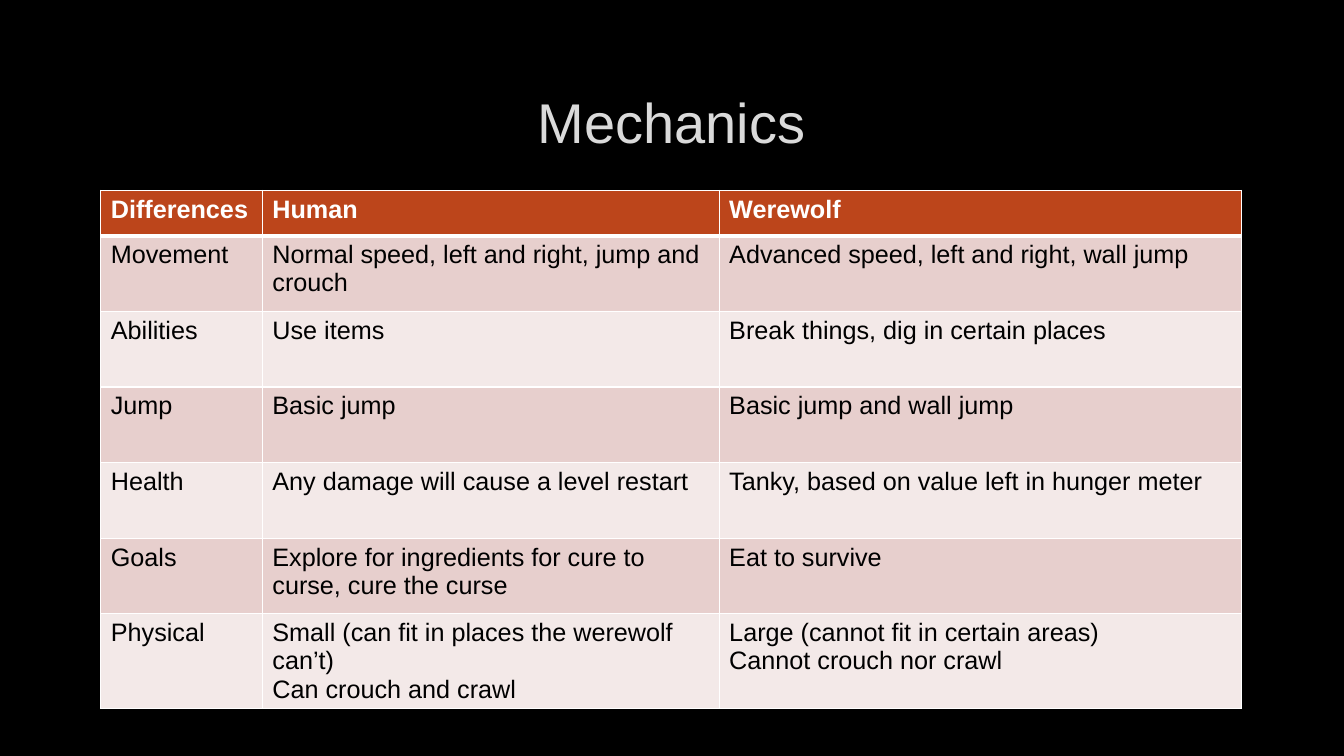
from lxml import etree
from pptx import Presentation
from pptx import util as u
from pptx.dml.color import RGBColor
from pptx.enum import text
from pptx.oxml import ns

# Content
TITLE = "Mechanics"
ROWS = [
    ("Differences", "Human", "Werewolf"),
    ("Movement", "Normal speed, left and right, jump and crouch",
     "Advanced speed, left and right, wall jump"),
    ("Abilities", "Use items", "Break things, dig in certain places"),
    ("Jump", "Basic jump", "Basic jump and wall jump"),
    ("Health", "Any damage will cause a level restart",
     "Tanky, based on value left in hunger meter"),
    ("Goals", "Explore for ingredients for cure to curse, cure the curse",
     "Eat to survive"),
    ("Physical", "Small (can fit in places the werewolf can’t)\nCan crouch and crawl",
     "Large (cannot fit in certain areas)\nCannot crouch nor crawl"),
]

# Format, lengths in points
COLORS = {"background": "000000", "title": "DADADA", "header": "BC451B",
          "header text": "FFFFFF", "body text": "000000", "border": "FFFFFF",
          "odd": "E7CFCD", "even": "F3E9E8"}
FONT = "Arial"
LEFT, WIDTH = 72, 815
TITLE_TOP, TITLE_HEIGHT = 48, 76.5
TABLE_TOP, HEADER_HEIGHT, ROW_HEIGHT = 136, 32.4, 54
COLUMN_WIDTHS = (115.4, 326.3, 373.3)
THIN, THICK = 1, 3


def color(name):
    return RGBColor.from_string(COLORS[name])


def write_text(frame, words, size, color_name, bold=False, align=text.PP_ALIGN.LEFT):
    frame.text = words
    for paragraph in frame.paragraphs:
        paragraph.alignment = align
        for run in paragraph.runs:
            run.font.name = FONT
            run.font.size = u.Pt(size)
            run.font.bold = bold
            run.font.color.rgb = color(color_name)


def add_border(cell, side, width):
    properties = cell._tc.get_or_add_tcPr()
    line = etree.SubElement(properties, ns.qn("a:ln" + side), w=str(u.Pt(width)))
    fill = etree.SubElement(line, ns.qn("a:solidFill"))
    etree.SubElement(fill, ns.qn("a:srgbClr"), val=COLORS["border"])


# Slide
presentation = Presentation()
presentation.slide_width, presentation.slide_height = u.Pt(960), u.Pt(540)
slide = presentation.slides.add_slide(presentation.slide_layouts[5])
slide.background.fill.solid()
slide.background.fill.fore_color.rgb = color("background")

# Title
title = slide.shapes.title
title.left, title.top = u.Pt(LEFT), u.Pt(TITLE_TOP)
title.width, title.height = u.Pt(WIDTH), u.Pt(TITLE_HEIGHT)
title.text_frame.vertical_anchor = text.MSO_ANCHOR.MIDDLE
write_text(title.text_frame, TITLE, 40, "title", align=text.PP_ALIGN.CENTER)

# Table of differences
table_height = HEADER_HEIGHT + ROW_HEIGHT * (len(ROWS) - 1)
table = slide.shapes.add_table(len(ROWS), len(COLUMN_WIDTHS), u.Pt(LEFT), u.Pt(TABLE_TOP),
                               u.Pt(WIDTH), u.Pt(table_height)).table
for column, width in zip(table.columns, COLUMN_WIDTHS):
    column.width = u.Pt(width)

for row_index, row in enumerate(ROWS):
    header = row_index == 0
    table.rows[row_index].height = u.Pt(HEADER_HEIGHT if header else ROW_HEIGHT)
    fill_name = "header" if header else ("odd" if row_index % 2 else "even")
    borders = {"L": THIN, "R": THIN,
               "T": THICK if row_index == 1 else THIN,
               "B": THICK if header else THIN}
    for column_index, words in enumerate(row):
        cell = table.cell(row_index, column_index)
        for side, width in borders.items():
            add_border(cell, side, width)
        cell.fill.solid()
        cell.fill.fore_color.rgb = color(fill_name)
        write_text(cell.text_frame, words, 18,
                   "header text" if header else "body text", bold=header)

presentation.save("out.pptx")
